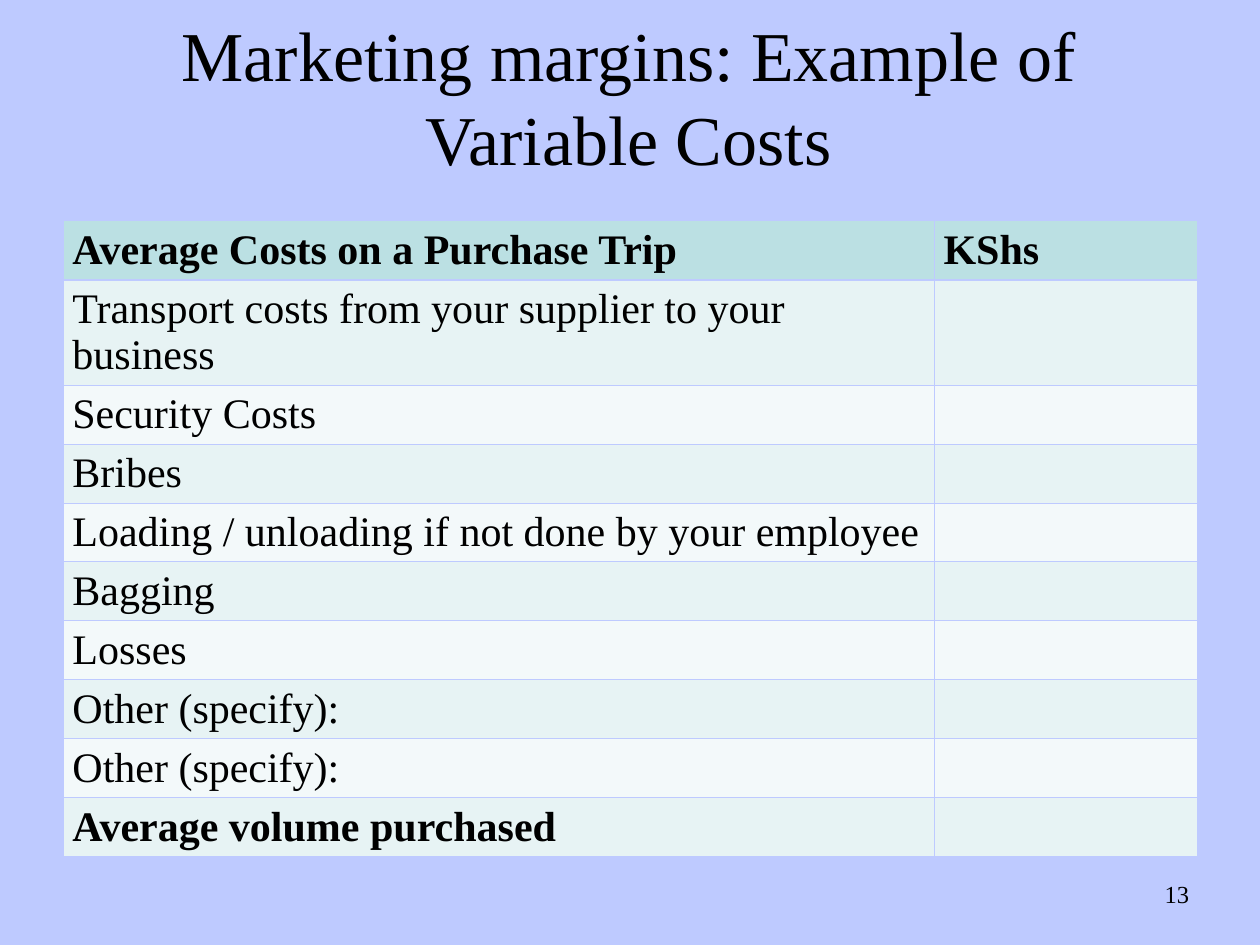
from dataclasses import dataclass

from lxml.etree import SubElement
from pptx import Presentation
from pptx.dml.color import RGBColor
from pptx.enum.text import MSO_ANCHOR, MSO_AUTO_SIZE, PP_ALIGN
from pptx.oxml.ns import qn
from pptx.util import Cm, Pt


@dataclass(frozen=True)
class Theme:
    """Colours, font and type sizes of the slide."""
    font: str = "Times New Roman"
    background: str = "BECAFF"
    text: str = "000000"
    header: str = "BBE0E3"
    bands: tuple = ("E7F3F4", "F3F9FA")
    title_size: int = 40
    table_size: int = 24
    number_size: int = 14
    thin_line: float = 0.45
    thick_line: float = 1.47


THEME = Theme()
TITLE = "Marketing margins: Example of Variable Costs"
HEADER = ("Average Costs on a Purchase Trip", "KShs")
COSTS = (
    "Transport costs from your supplier to your business",
    "Security Costs",
    "Bribes",
    "Loading / unloading if not done by your employee",
    "Bagging",
    "Losses",
    "Other (specify):",
    "Other (specify):",
    "Average volume purchased",
)


def format_paragraph(paragraph, size, bold=False, alignment=PP_ALIGN.LEFT):
    """Give a paragraph the theme font, a size and an alignment."""
    paragraph.alignment = alignment
    font = paragraph.font
    font.name = THEME.font
    font.size = Pt(size)
    font.bold = bold
    font.color.rgb = RGBColor.from_string(THEME.text)


def add_title(slide, left, top, width, height):
    """Place and format the title placeholder."""
    title = slide.shapes.title
    title.left, title.top, title.width, title.height = left, top, width, height
    frame = title.text_frame
    frame.text = TITLE
    frame.word_wrap = True
    frame.auto_size = MSO_AUTO_SIZE.NONE
    frame.vertical_anchor = MSO_ANCHOR.MIDDLE
    frame.margin_left, frame.margin_right = Cm(0.2), Cm(0.25)
    frame.margin_top = frame.margin_bottom = Cm(0.15)
    paragraph = frame.paragraphs[0]
    paragraph.line_spacing = 1.0
    format_paragraph(paragraph, THEME.title_size, alignment=PP_ALIGN.CENTER)


def add_border(cell, side, width):
    """Draw one side of a cell in the background colour."""
    line = SubElement(cell._tc.get_or_add_tcPr(), qn(f"a:ln{side}"), w=str(Pt(width)))
    fill = SubElement(line, qn("a:solidFill"))
    SubElement(fill, qn("a:srgbClr"), val=THEME.background)


def format_cell(cell, row, bold):
    """Set the borders, fill, margins and font of a table cell."""
    thick_side = {0: "B", 1: "T"}.get(row)
    for side in "LRTB":
        add_border(cell, side, THEME.thick_line if side == thick_side else THEME.thin_line)
    color = THEME.bands[(row - 1) % 2] if row else THEME.header
    cell.fill.solid()
    cell.fill.fore_color.rgb = RGBColor.from_string(color)
    cell.margin_left = cell.margin_right = Cm(0.19)
    cell.margin_top, cell.margin_bottom = Cm(0.13), Cm(0.12)
    format_paragraph(cell.text_frame.paragraphs[0], THEME.table_size, bold)


def add_cost_table(slide, left, top, width, height):
    """Add the table of variable costs with a taller first cost row."""
    rows = [HEADER] + [(cost, "") for cost in COSTS]
    table = slide.shapes.add_table(len(rows), len(HEADER), left, top, width, height).table
    table.horz_banding = False
    table.columns[1].width = Cm(5.3)
    table.columns[0].width = width - Cm(5.3)
    tall_height = Cm(2.12)
    row_height = (height - tall_height) // (len(rows) - 1)
    for row, texts in enumerate(rows):
        table.rows[row].height = tall_height if row == 1 else row_height
        for column, text in enumerate(texts):
            cell = table.cell(row, column)
            cell.text = text
            format_cell(cell, row, bold=row in (0, len(rows) - 1))


def add_slide_number(slide, left, top, width, height):
    """Add the slide number on one line in its small box."""
    frame = slide.shapes.add_textbox(left, top, width, height).text_frame
    frame.text = "13"
    frame.word_wrap = False
    frame.auto_size = MSO_AUTO_SIZE.NONE
    frame.margin_left = frame.margin_right = 0
    format_paragraph(frame.paragraphs[0], THEME.number_size, alignment=PP_ALIGN.CENTER)


def main():
    """Build the slide and save the presentation."""
    presentation = Presentation()
    presentation.slide_width, presentation.slide_height = Cm(25.4), Cm(19.05)
    slide = presentation.slides.add_slide(presentation.slide_layouts[5])
    slide.background.fill.solid()
    slide.background.fill.fore_color.rgb = RGBColor.from_string(THEME.background)
    margin, content_width = Cm(1.27), Cm(22.86)
    add_title(slide, margin, Cm(0.25), content_width, Cm(3.35))
    add_cost_table(slide, margin, Cm(4.45), content_width, Cm(12.82))
    add_slide_number(slide, Cm(23.32), Cm(17.6), Cm(0.81), Cm(0.81))
    presentation.save("out.pptx")


if __name__ == "__main__":
    main()
